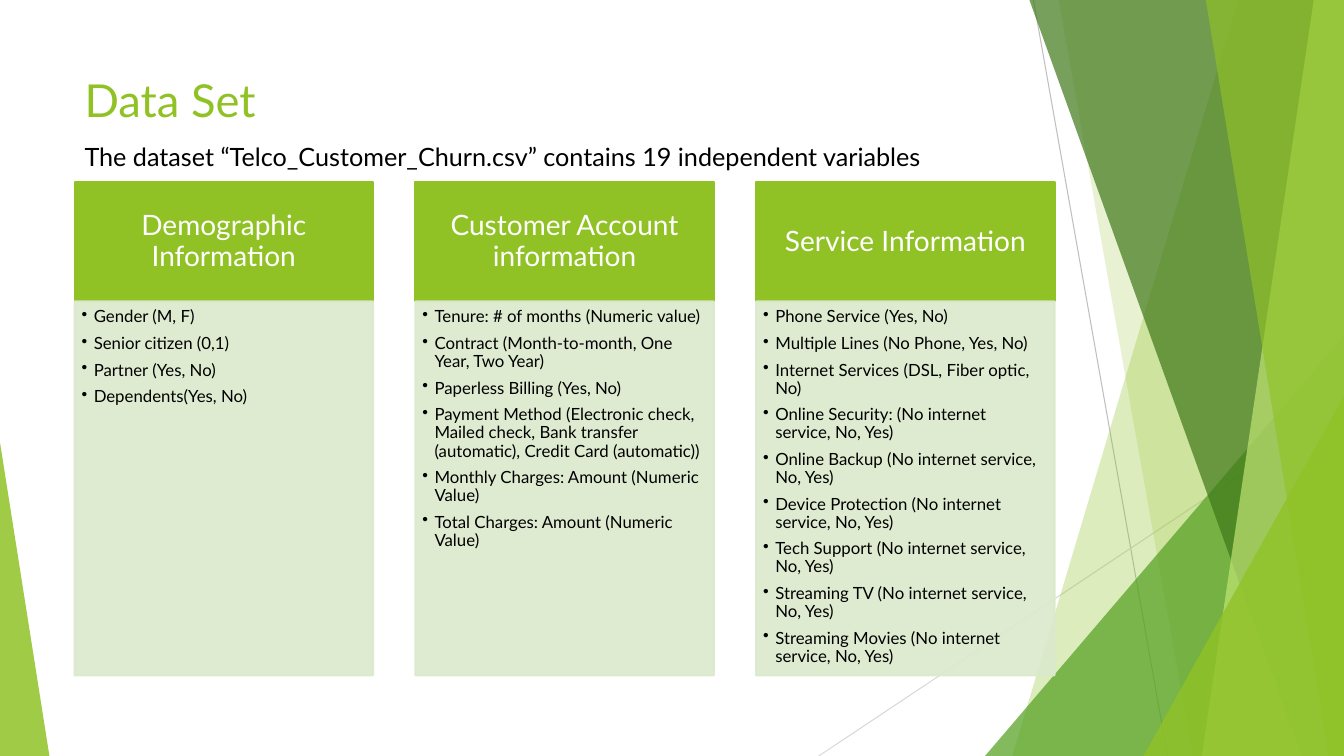
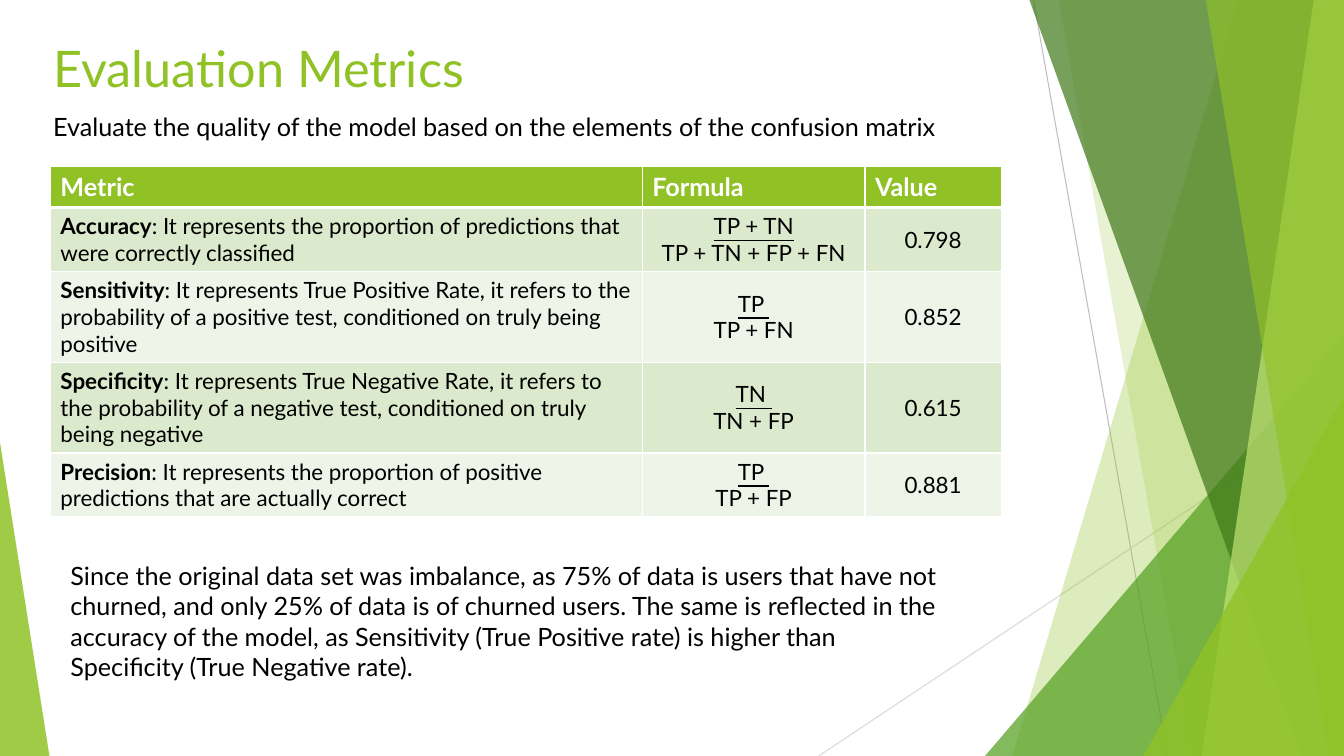
from dataclasses import dataclass

from lxml import etree
from pptx import Presentation
from pptx import util as u
from pptx.dml.color import RGBColor
from pptx.enum import shapes, text
from pptx.oxml.ns import qn

PX = 9144  # EMU per px, 100 px to the inch
W, H = 1333, 750


@dataclass(frozen=True)
class Theme:
    font: str = "Lato"
    green: str = "90C226"
    leaf: str = "54A021"
    forest: str = "3F7819"
    lime: str = "C0E474"
    pale: str = "DBE9CD"
    paler: str = "EEF4E8"
    grey: str = "BFBFBF"
    light_grey: str = "D9D9D9"
    black: str = "000000"
    white: str = "FFFFFF"
    body: int = 18
    card_head: int = 20
    card_item: int = 12
    cell: int = 16


T = Theme()
CENTER, MIDDLE = text.PP_ALIGN.CENTER, text.MSO_ANCHOR.MIDDLE


# Shared helpers
def px(*values):
    return [u.Emu(v * PX) for v in values]


def put(obj, fmt):
    for name, value in fmt.items():
        setattr(obj, name, value)


def write(tf, paragraphs, size, color, para=None, bullet=False):
    """Each paragraph is a string or a list of (string, font format) runs."""
    for i, runs in enumerate(paragraphs):
        p = tf.add_paragraph() if i else tf.paragraphs[0]
        put(p, para or {})
        if bullet:
            pPr = p._p.get_or_add_pPr()
            pPr.set("marL", str(12 * PX))
            pPr.set("indent", str(-12 * PX))
            etree.SubElement(pPr, qn("a:buChar"), char="•")
        for words, fmt in [(runs, {})] if isinstance(runs, str) else runs:
            r = p.add_run()
            r.text = words
            put(r.font, {"name": T.font, "size": u.Pt(size), **fmt})
            r.font.color.rgb = RGBColor.from_string(color)


def paint(sp, color, alpha=100, line=0):
    sp.shadow.inherit = False
    sp.fill.solid()
    sp.fill.fore_color.rgb = RGBColor.from_string(color)
    if line:
        sp.line.color.rgb = RGBColor.from_string(color)
        sp.line.width = u.Pt(line)
    else:
        sp.line.fill.background()
    if alpha < 100:
        for clr in list(sp._element.spPr.iter(qn("a:srgbClr"))):
            etree.SubElement(clr, qn("a:alpha"), val=str(alpha * 1000))


def text_box(s, box, words, size, color):
    tf = s.shapes.add_textbox(*px(*box)).text_frame
    tf.word_wrap = True
    write(tf, [words], size, color)


# Backdrop of overlapping facets
def thin_line(s, ends, color):
    cn = s.shapes.add_connector(shapes.MSO_CONNECTOR.STRAIGHT, *px(*ends))
    cn.line.color.rgb = RGBColor.from_string(color)
    cn.line.width = u.Pt(0.75)
    etree.SubElement(cn._element.spPr, qn("a:effectLst"))


def facet(s, top, bottom, color, alpha):
    """Slanted left edge from top to bottom, filled to the right slide edge."""
    fb = s.shapes.build_freeform(top, 0, scale=PX)
    fb.add_line_segments([(W, 0), (W, H), (bottom, H)], close=True)
    paint(fb.convert_to_shape(), color, alpha)


def corner(s, x, y, w, apex, color, alpha):
    sp = s.shapes.add_shape(shapes.MSO_SHAPE.ISOSCELES_TRIANGLE,
                            *px(x, y, w, H - y))
    sp.adjustments[0] = apex
    paint(sp, color, alpha)


def backdrop(s):
    thin_line(s, (1025, 0, 1158, H), T.grey)
    thin_line(s, (W, 403, 812, H), T.light_grey)
    facet(s, 1228, 1004, T.green, 30)
    facet(s, 1050, 1183, T.green, 20)
    corner(s, 977, 333, 356, 1, T.leaf, 72)
    facet(s, 1021, 1291, T.forest, 70)
    facet(s, 1303, 1192, T.lime, 70)
    facet(s, 1196, 1318, T.green, 65)
    corner(s, 1134, 393, 199, 1, T.green, 80)
    corner(s, 0, 439, 49, 0, T.green, 85)


def heading(s, box, title, size, subtitle):
    x, y, w, h = box
    text_box(s, box, title, size, T.green)
    text_box(s, (x, y + h, w, 40), subtitle, T.body, T.black)


def new_slide(prs, *head):
    s = prs.slides.add_slide(prs.slide_layouts[6])
    backdrop(s)
    heading(s, *head)
    return s


# Cards: green head over a pale list
def panel(s, box, color, margins, anchor, alpha=100):
    sp = s.shapes.add_shape(shapes.MSO_SHAPE.RECTANGLE, *px(*box))
    paint(sp, color, alpha, line=1.5)
    sides = ("margin_left", "margin_top", "margin_right", "margin_bottom")
    put(sp.text_frame, {"word_wrap": True, "vertical_anchor": anchor,
                        **dict(zip(sides, px(*margins)))})
    return sp.text_frame


def card(s, box, title, items):
    x, y, w, h = box
    head_h = 118
    tf = panel(s, (x, y, w, head_h), T.green, (16, 9, 16, 9), MIDDLE)
    write(tf, [title], T.card_head, T.white,
          {"alignment": CENTER, "line_spacing": 0.9})
    tf = panel(s, (x, y + head_h, w, h - head_h), T.pale, (7, 7, 9, 10),
               text.MSO_ANCHOR.TOP, 90)
    write(tf, items, T.card_item, T.black,
          {"alignment": text.PP_ALIGN.LEFT, "line_spacing": 0.9,
           "space_after": u.Pt(6)}, bullet=True)


def card_row(s, box, cards):
    x, y, w, h = box
    gap = 42
    card_w = (w - gap * (len(cards) - 1)) // len(cards)
    for i, (title, items) in enumerate(cards.items()):
        card(s, (x + i * (card_w + gap), y, card_w, h), title, items)


# Metrics table
def style_cell(cell, fill, bottom=1):
    tcPr = cell._tc.get_or_add_tcPr()
    for side, pt in (("L", 1), ("R", 1), ("T", 1), ("B", bottom)):
        ln = etree.SubElement(tcPr, qn(f"a:ln{side}"), w=str(u.Pt(pt)))
        solid = etree.SubElement(ln, qn("a:solidFill"))
        etree.SubElement(solid, qn("a:srgbClr"), val=T.white)
    cell.fill.solid()
    cell.fill.fore_color.rgb = RGBColor.from_string(fill)


def metrics_table(s, box, cols, rows, header, metrics):
    tbl = s.shapes.add_table(len(rows), len(cols), *px(*box)).table
    tbl.horz_banding = False
    for col, w in zip(tbl.columns, px(*cols)):
        col.width = w
    for row, h in zip(tbl.rows, px(*rows)):
        row.height = h
    for cell, label in zip(tbl.rows[0].cells, header):
        style_cell(cell, T.green, bottom=3)
        write(cell.text_frame, [[(label, {"bold": True})]], T.body, T.white)
    for i, (name, meaning, top, under, value) in enumerate(metrics, 1):
        contents = (
            [[(name, {"bold": True}), (": " + meaning, {"bold": False})]],
            [[(top, {"underline": True})], under],
            [value],
        )
        for j, paragraphs in enumerate(contents):
            cell = tbl.cell(i, j)
            style_cell(cell, T.pale if i % 2 else T.paler, 1)
            cell.vertical_anchor = MIDDLE
            write(cell.text_frame, paragraphs, T.cell, T.black,
                  {"alignment": CENTER} if j else None)


# Content
NET = "(No internet service, No, Yes)"
VARIABLES = {
    "Demographic Information": [
        "Gender (M, F)", "Senior citizen (0,1)", "Partner (Yes, No)",
        "Dependents(Yes, No)"],
    "Customer Account information": [
        "Tenure: # of months (Numeric value)",
        "Contract (Month-to-month, One Year, Two Year)",
        "Paperless Billing (Yes, No)",
        "Payment Method (Electronic check, Mailed check, Bank transfer "
        "(automatic), Credit Card (automatic))",
        "Monthly Charges: Amount (Numeric Value)",
        "Total Charges: Amount (Numeric Value)"],
    "Service Information": [
        "Phone Service (Yes, No)", "Multiple Lines (No Phone, Yes, No)",
        "Internet Services (DSL, Fiber optic, No)",
        *(f"{service} {NET}" for service in (
            "Online Security:", "Online Backup", "Device Protection",
            "Tech Support", "Streaming TV", "Streaming Movies"))],
}
METRICS = [
    ("Accuracy", "It represents the proportion of predictions that were "
     "correctly classified", "TP + TN", "TP + TN + FP + FN", "0.798"),
    ("Sensitivity", "It represents True Positive Rate, it refers to the "
     "probability of a positive test, conditioned on truly being positive",
     "TP ", "TP + FN", "0.852"),
    ("Specificity", "It represents True Negative Rate, it refers to the "
     "probability of a negative test, conditioned on truly being negative",
     "TN ", "TN + FP", "0.615"),
    ("Precision", "It represents the proportion of positive predictions that "
     "are actually correct", "TP ", "TP + FP", "0.881"),
]
REMARK = (
    "Since the original data set was imbalance, as 75% of data is users that "
    "have not churned, and only 25% of data is of churned users. The same is "
    "reflected in the accuracy of the model, as Sensitivity (True Positive "
    "rate) is higher than Specificity (True Negative rate).")


# Slides
def data_set_slide(prs):
    s = new_slide(
        prs, (74, 67, 940, 68), "Data Set", 32.4,
        "The dataset “Telco_Customer_Churn.csv” contains 19 independent "
        "variables")
    card_row(s, (74, 181, 972, 489), VARIABLES)


def metrics_slide(prs):
    s = new_slide(
        prs, (43, 32, 1033, 74), "Evaluation Metrics", 36,
        "Evaluate the quality of the model based on the elements of the "
        "confusion matrix")
    metrics_table(s, (50, 165, 943, 347), (587, 221, 135),
                  (41, 63, 90, 90, 63), ("Metric", "Formula", "Value"),
                  METRICS)
    text_box(s, (60, 551, 892, 131), REMARK, T.body, T.black)


def main():
    prs = Presentation()
    prs.slide_width, prs.slide_height = px(W, H)
    data_set_slide(prs)
    metrics_slide(prs)
    prs.save("out.pptx")


if __name__ == "__main__":
    main()
